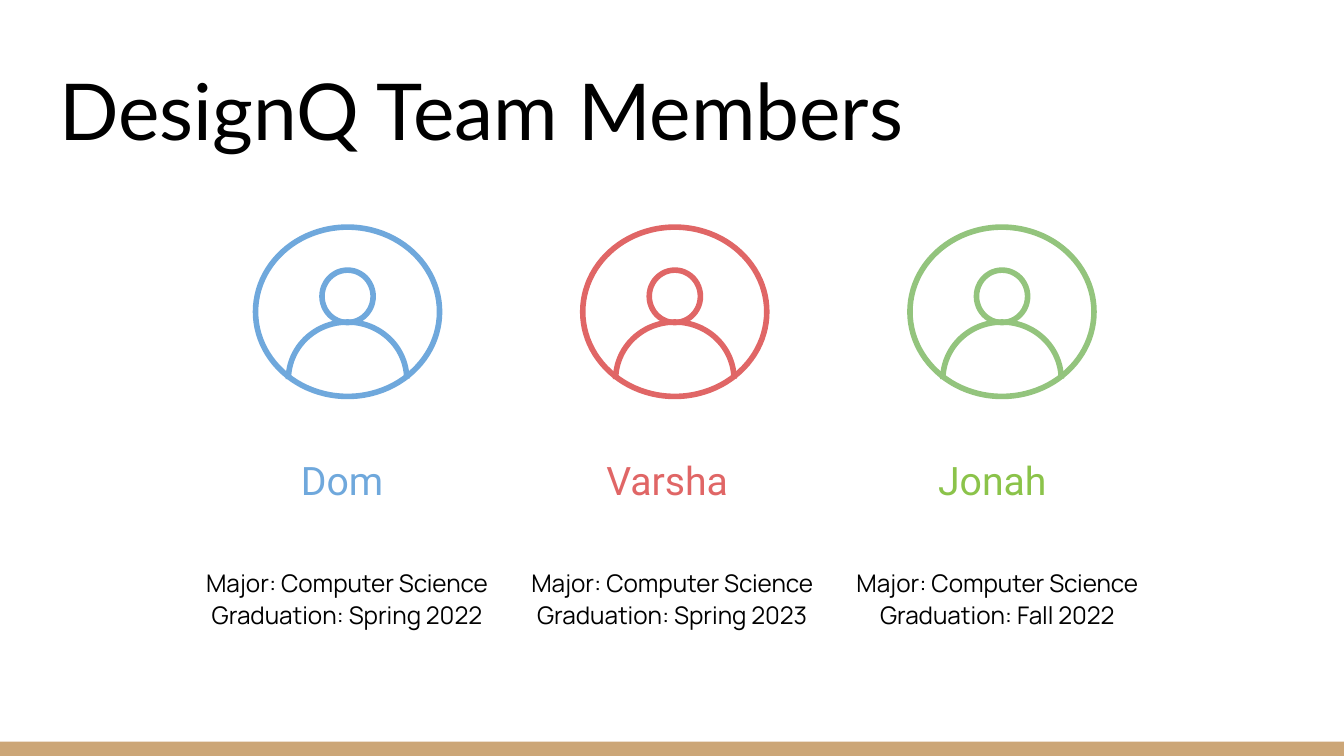
from pptx import Presentation
from pptx.dml.color import RGBColor
from pptx.enum.shapes import MSO_SHAPE as Shape
from pptx.enum.text import MSO_ANCHOR as Anchor, MSO_AUTO_SIZE as AutoSize, PP_ALIGN as Align
from pptx.util import Pt

# Content
TITLE = "DesignQ Team Members"
MEMBERS = [
    ("Dom", "blue", "blue", ["Major: Computer Science", "Graduation: Spring 2022"]),
    ("Varsha", "red", "red", ["Major: Computer Science", "Graduation: Spring 2023"]),
    ("Jonah", "green", "lime", ["Major: Computer Science", "Graduation: Fall 2022"]),
]
COLORS = {
    "black": "000000", "white": "FFFFFF", "tan": "CCA677", "blue": "6FA8DC",
    "red": "E06666", "green": "93C47D", "lime": "8BC34A",
}

# Layout in points
WIDTH, HEIGHT = 720, 405
BAR_TOP = 397.4
COLUMN_WIDTH = 171.4
TEXT_CENTER, TEXT_PITCH = 185.8, 174.2
ICON_CENTER, ICON_PITCH = 186.2, 175.3
NAME_SHIFT = -2.6
INSET = 7.2


def color(name):
    return RGBColor.from_string(COLORS[name])


def style_text(frame, text, font, size, tint, align):
    frame.text = text
    frame.word_wrap = True
    frame.auto_size = AutoSize.NONE
    frame.margin_left = frame.margin_right = Pt(INSET)
    frame.margin_top = frame.margin_bottom = Pt(INSET)
    for para in frame.paragraphs:
        para.alignment = align
        for span in para.runs:
            span.font.name = font
            span.font.size = Pt(size)
            span.font.color.rgb = color(tint)


def add_text(center, top, height, *style):
    box = page.shapes.add_textbox(
        Pt(center - COLUMN_WIDTH / 2), Pt(top), Pt(COLUMN_WIDTH), Pt(height))
    style_text(box.text_frame, *style, Align.CENTER)
    return box.text_frame


def add_outline(group, kind, center, top, width, height, tint):
    outline = group.shapes.add_shape(
        kind, Pt(center - width / 2), Pt(top), Pt(width), Pt(height))
    outline.shadow.inherit = False
    outline.line.color.rgb = color(tint)
    outline.line.width = Pt(3)
    if kind == Shape.ARC:
        outline.fill.background()
    else:
        outline.fill.solid()
        outline.fill.fore_color.rgb = color("white")
    return outline


def add_icon(center, tint):
    group = page.shapes.add_group_shape()
    add_outline(group, Shape.OVAL, center, 121.7, 98.6, 90.7, tint)
    add_outline(group, Shape.OVAL, center, 144.7, 27.4, 28.1, tint)
    shoulders = add_outline(group, Shape.ARC, center, 171.4, 61.2, 63.4, tint)
    shoulders.adjustments[0] = 162
    shoulders.adjustments[1] = 53.82
    shoulders.rotation = 270


deck = Presentation()
deck.slide_width, deck.slide_height = Pt(WIDTH), Pt(HEIGHT)
page = deck.slides.add_slide(deck.slide_layouts[5])

# Bottom bar
bar = page.shapes.add_shape(
    Shape.RECTANGLE, 0, Pt(BAR_TOP), Pt(WIDTH), Pt(HEIGHT - BAR_TOP))
bar.shadow.inherit = False
bar.fill.solid()
bar.fill.fore_color.rgb = color("tan")
bar.line.fill.background()

# Title
title = page.shapes.title
title.left, title.top, title.width, title.height = Pt(24.5), Pt(25.2), Pt(671), Pt(65.5)
style_text(title.text_frame, TITLE, "Lato", 42, "black", Align.LEFT)
title.text_frame.vertical_anchor = Anchor.BOTTOM

# One column per member
for index, (name, icon_tint, name_tint, details) in enumerate(MEMBERS):
    center = TEXT_CENTER + index * TEXT_PITCH
    add_icon(ICON_CENTER + index * ICON_PITCH, icon_tint)
    label = add_text(center + NAME_SHIFT, 233.3, 34.6, name, "Roboto", 21, name_tint)
    label.paragraphs[0].line_spacing = 1.15
    facts = add_text(center, 297, 68, "\n".join(details), "Manrope", 13, "black")
    facts.paragraphs[1].space_before = Pt(1.5)

deck.save("out.pptx")
